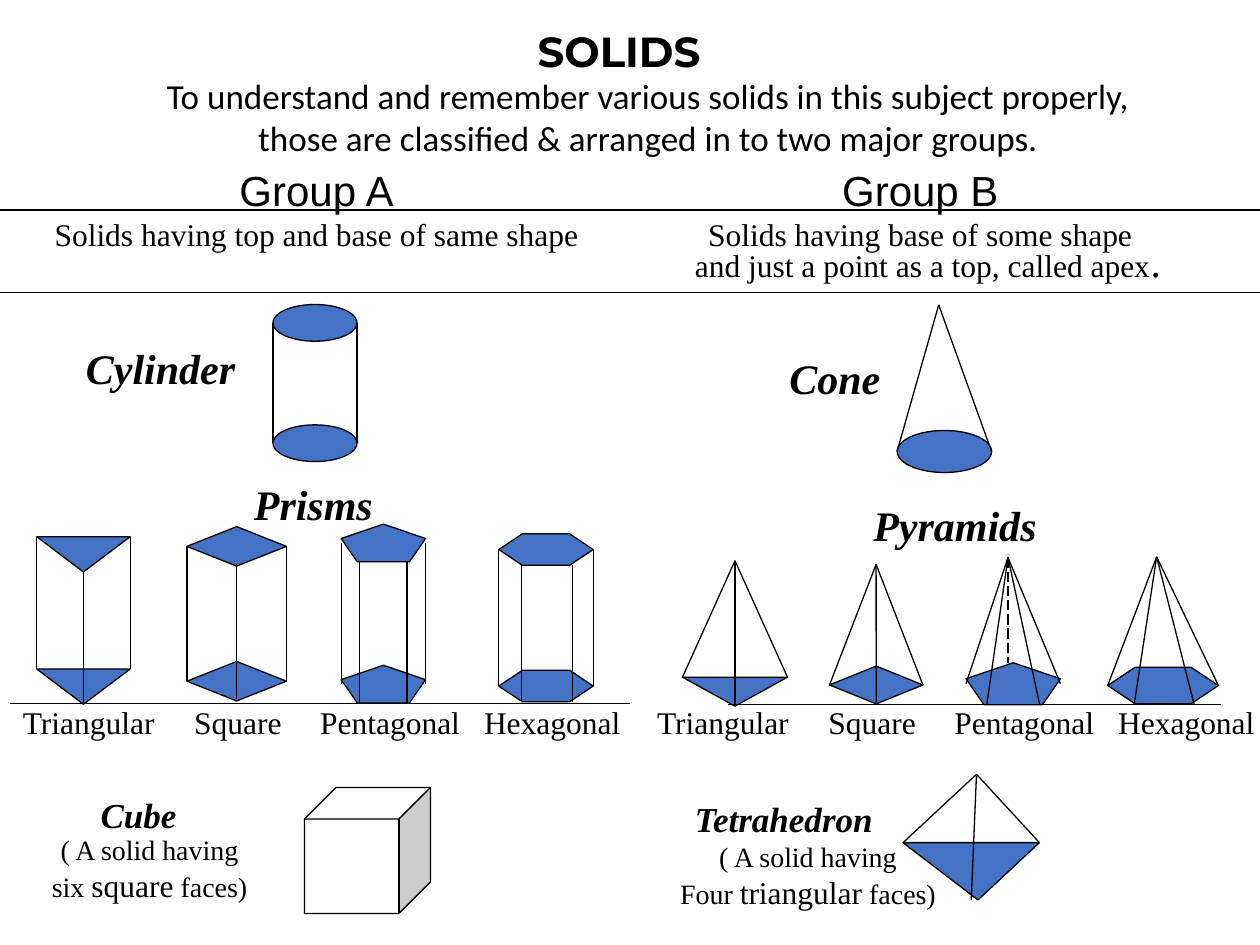
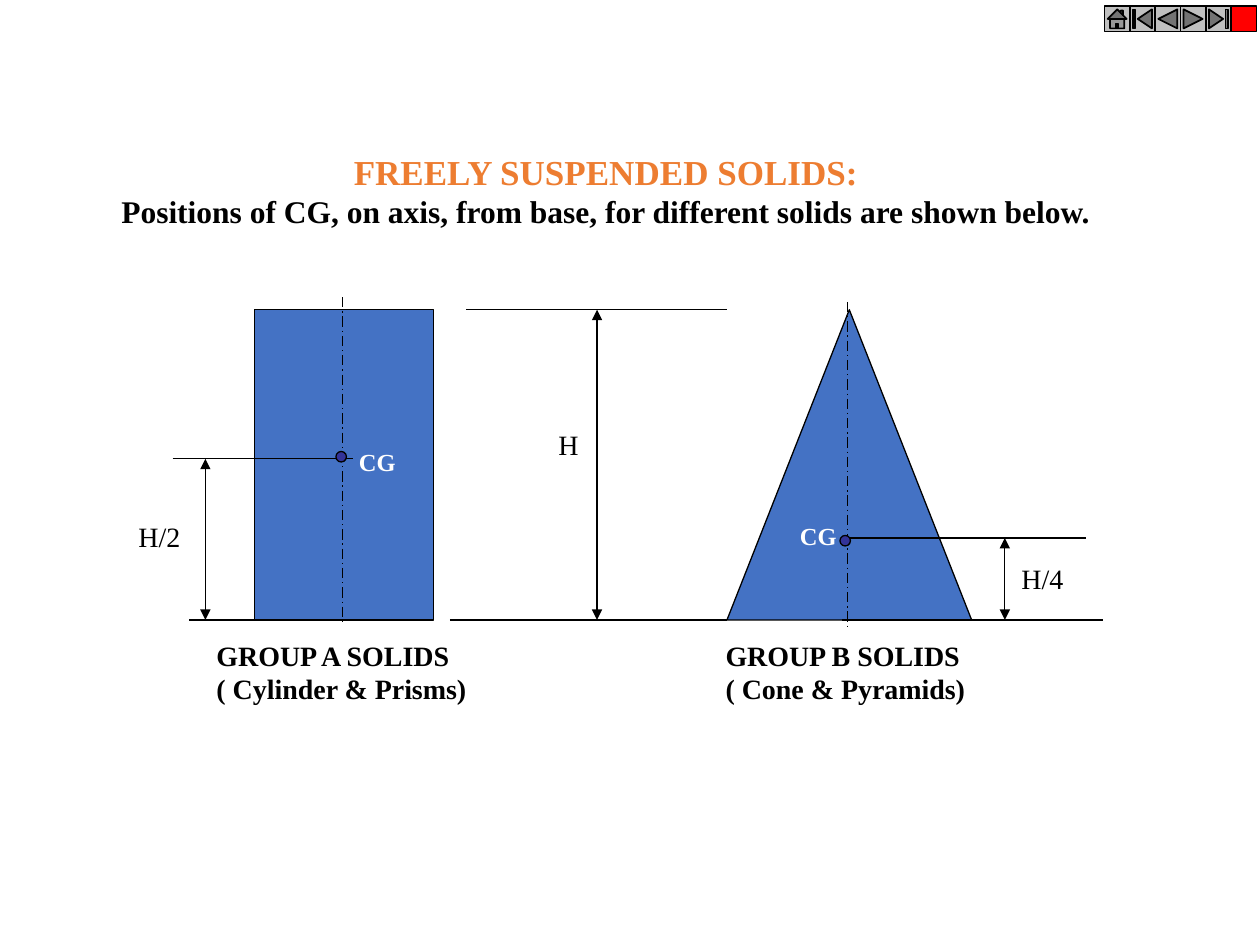
from pptx import Presentation
from pptx.dml.color import RGBColor
from pptx.enum.dml import MSO_LINE
from pptx.enum.shapes import MSO_CONNECTOR, MSO_SHAPE
from pptx.enum.text import MSO_ANCHOR, MSO_AUTO_SIZE, PP_ALIGN
from pptx.oxml.ns import qn
from pptx.util import Inches, Pt
from lxml.etree import SubElement

# Theme: colours and type styles
SERIF = "Times New Roman"
THEME = {
    "ink": RGBColor.from_string("000000"),
    "face": RGBColor.from_string("4472C4"),
    "white": RGBColor.from_string("FFFFFF"),
    "dot": RGBColor.from_string("333399"),
    "key": RGBColor.from_string("C0C0C0"),
    "stop": RGBColor.from_string("FF0000"),
    "tint": {"lead": RGBColor.from_string("ED7D31"), "mark": RGBColor.from_string("FFFFFF")},
    "type": {
        "head": dict(name="Montserrat", size=Pt(24), bold=True),
        "intro": dict(name="Calibri", size=Pt(20)),
        "group": dict(name="Arial", size=Pt(24)),
        "solid": dict(name=SERIF, size=Pt(24), bold=True, italic=True),
        "minor": dict(name=SERIF, size=Pt(20), bold=True, italic=True),
        "body": dict(name=SERIF, size=Pt(18)),
        "note": dict(name=SERIF, size=Pt(16)),
        "stop": dict(name=SERIF, size=Pt(24)),
        "lead": dict(name=SERIF, size=Pt(20), bold=True),
        "sub": dict(name=SERIF, size=Pt(18), bold=True),
        "name": dict(name=SERIF, size=Pt(16), bold=True),
        "mark": dict(name=SERIF, size=Pt(14), bold=True),
    },
}

# Grid: 120 columns by 90 rows of equal square cells
deck = Presentation()
deck.slide_width, deck.slide_height = Inches(10), Inches(7.5)
CELL = deck.slide_width // 120
plan, hang = [deck.slides.add_slide(deck.slide_layouts[5]) for _ in range(2)]


def draw(page, kind, box, fill="face", adj=(), flip=False, width=0.75):
    shape = page.shapes.add_shape(kind, *[round(n * CELL) for n in box])
    shape.shadow.inherit = False
    shape.fill.solid()
    shape.fill.fore_color.rgb = THEME[fill]
    shape.line.color.rgb = THEME["ink"]
    shape.line.width = Pt(width)
    for i, share in enumerate(adj):
        shape.adjustments[i] = share
    if flip:
        shape._element.spPr.find(qn("a:xfrm")).set("flipV", "1")


def link(page, start, end, dash=None, heads=False):
    ends = [round(n * CELL) for n in (*start, *end)]
    line = page.shapes.add_connector(MSO_CONNECTOR.STRAIGHT, *ends)
    line.line.color.rgb = THEME["ink"]
    line.line.width = Pt(0.75)
    line.line.dash_style = dash
    props = line._element.spPr
    if heads:
        for tag in ("a:headEnd", "a:tailEnd"):
            SubElement(props.find(qn("a:ln")), qn(tag), type="triangle")
    SubElement(props, qn("a:effectLst"))


# Outlines, with edge points as shares of the face's box
ROUND, TRI, RHOMB = MSO_SHAPE.OVAL, MSO_SHAPE.ISOSCELES_TRIANGLE, MSO_SHAPE.DIAMOND
PENTA, HEXA = MSO_SHAPE.REGULAR_PENTAGON, MSO_SHAPE.HEXAGON
SIDES = [(0, 0.5), (1, 0.5)]
EDGES = {
    ROUND: SIDES,
    TRI: [(0, 0), (1, 0), (0.5, 1)],
    RHOMB: SIDES + [(0.5, 0.95)],
    PENTA: SIDES + [(0.22, 1), (0.78, 1)],
    HEXA: SIDES + [(0.24, 1), (0.78, 1)],
}

# Slide 1, group A: a top face, the same face below it, and upright edges
prisms = [
    (ROUND, (26, 29, 8, 3.5), 11.46, ()),
    (TRI, (3.5, 51.12, 8.9, 3.36), 12.6, ()),
    (RHOMB, (17.8, 50.16, 9.48, 3.76), 12.84, ()),
    (PENTA, (32.5, 49.92, 8.04, 3.6), 13.44, ()),
    (HEXA, (47.5, 50.84, 9, 3), 13, (0.75,)),
]
for kind, (x, y, w, h), drop, adj in prisms:
    for top in (y, y + drop):
        draw(plan, kind, (x, top, w, h), adj=adj, flip=kind == TRI)
    for across, down in EDGES[kind]:
        px, py = x + across * w, y + down * h
        link(plan, (px, py), (px, py + drop))
draw(plan, MSO_SHAPE.CUBE, (29, 75, 12, 12), "white", (0.25,))

# Slide 1, group B: a base and edges that meet at an apex
cones = [
    (ROUND, (85.44, 41, 9, 4), (89.4, 29.04), ()),
    (TRI, (65, 64.5, 10, 2.76), (70, 53.4), ()),
    (RHOMB, (79, 63.44, 8.9, 3.6), (83.44, 53.76), ()),
    (PENTA, (92, 63.12, 9, 4), (96, 53.1), ()),
    (HEXA, (105.5, 63.54, 10.54, 3.5), (110.16, 53.04), (0.75,)),
    (TRI, (86, 80.26, 13, 5.46), (93, 73.74), (0.55,)),
]
for kind, (x, y, w, h), apex, adj in cones:
    draw(plan, kind, (x, y, w, h), adj=adj, flip=kind == TRI)
    for across, down in EDGES[kind]:
        link(plan, apex, (x + across * w, y + down * h))
link(plan, (96, 53.1), (96, 63.12), MSO_LINE.LONG_DASH)

# Slide 1: ground lines and full-width rules
for left, right, row in [(1, 60, 67), (69.36, 116.28, 67.1), (0, 120, 20), (0, 120, 27.84)]:
    link(plan, (left, row), (right, row))

# Slide 2: the two suspended solids
TOP, BASE = 29.5, 59.04
draw(hang, MSO_SHAPE.RECTANGLE, (24.24, TOP, 17.04, BASE - TOP))
draw(hang, TRI, (69.24, TOP, 23.3, BASE - TOP))

# Slide 2: levels, axes and dimensions
HALF, FOURTH = 43.7, 51.24
levels = [(44.4, 69.24, TOP), (42.84, 69.24, BASE), (18, 25.8, BASE),
          (16.44, 33.6, HALF), (80.2, 103.44, FOURTH), (80.2, 105, BASE)]
for left, right, row in levels:
    link(hang, (left, row), (right, row))
for col, row in [(32.6, 28.3), (80.74, 28.76)]:
    link(hang, (col, row), (col, row + 31.1), MSO_LINE.LONG_DASH_DOT)
for col, row in [(56.86, TOP), (19.56, HALF), (95.7, FOURTH)]:
    link(hang, (col, row), (col, BASE), heads=True)
for col, row in [(32, 43), (80, 51)]:
    draw(hang, ROUND, (col, row, 1, 1), "dot")

# Slide 2: navigation buttons in one row
keys = [MSO_SHAPE.ACTION_BUTTON_HOME, MSO_SHAPE.ACTION_BUTTON_BEGINNING,
        MSO_SHAPE.ACTION_BUTTON_BACK_OR_PREVIOUS, MSO_SHAPE.ACTION_BUTTON_FORWARD_OR_NEXT,
        MSO_SHAPE.ACTION_BUTTON_END, MSO_SHAPE.ACTION_BUTTON_CUSTOM]
for i, kind in enumerate(keys):
    fill = "stop" if kind == keys[-1] else "key"
    draw(hang, kind, (105.2 + i * 2.41, 0.6, 2.41, 2.41), fill, width=1)

# Text: slide, box, alignment, then paragraphs of (words, style) runs
LEFT, MID = PP_ALIGN.LEFT, PP_ALIGN.CENTER
KINDS = "Triangular\tSquare\tPentagonal\tHexagonal"
STOPS = [1.36, 2.36, 3.66]
titles = [
    (plan, (50, 1.8, 18.84, 6), LEFT, [[("SOLIDS", "head")]]),
    (hang, (10.2, 13.7, 95, 8.76), MID, [
        [("FREELY SUSPENDED SOLIDS:", "lead")],
        [("Positions of CG, on axis, from base, for different solids are shown below.", "sub")]]),
]
texts = [
    (plan, (10, 6.5, 103.44, 9.24), MID, [
        [("To understand and remember various solids in this subject properly,", "intro")],
        [("those are classified & arranged in to two major groups.", "intro")]]),
    (plan, (4, 15.1, 52.3, 9.6), MID, [
        [("Group A", "group")], [("Solids having top and base of same shape", "body")]]),
    (plan, (65.9, 15.1, 43.5, 9.6), MID, [
        [("Group B", "group")], [("Solids having base of some shape", "body")]]),
    (plan, (65, 21.84, 46.8, 6), LEFT, [
        [("and just a point as a top, called apex", "body"), (".", "stop")]]),
    (plan, (3.7, 78.7, 21.1, 8), MID, [
        [("( A solid having", "note")],
        [("six ", "note"), ("square", "body"), (" faces)", "note")]]),
    (plan, (63.2, 79.4, 27.5, 8), MID, [
        [("( A solid having", "note")],
        [("Four ", "note"), ("triangular", "body"), (" faces)", "note")]]),
    (hang, (19.44, 60.2, 26.4, 7.6), LEFT, [
        [("GROUP A SOLIDS", "name")], [("( Cylinder & Prisms)", "name")]]),
    (hang, (67.92, 60.2, 26, 7.6), LEFT, [
        [("GROUP B SOLIDS", "name")], [("( Cone & Pyramids)", "name")]]),
]
labels = [
    (plan, "Cylinder", "solid", (7, 32, 16.7, 6)),
    (plan, "Prisms", "solid", (23, 45, 13.8, 6)),
    (plan, "Cone", "solid", (74, 33, 11, 6)),
    (plan, "Pyramids", "solid", (82, 47, 18, 6)),
    (plan, "Cube", "minor", (8.4, 75, 9.6, 5.2)),
    (plan, "Tetrahedron", "minor", (65, 75.4, 19.7, 5.2)),
    (plan, KINDS, "body", (1, 66.4, 61, 4.8)),
    (plan, KINDS, "body", (61.4, 66.4, 61, 4.8)),
    (hang, "H", "note", (52, 40.1, 4.3, 4.4)),
    (hang, "H/2", "note", (12, 48.9, 6.4, 4.4)),
    (hang, "H/4", "note", (96.1, 52.9, 6.4, 4.4)),
    (hang, "CG", "mark", (33, 42, 5.9, 4)),
    (hang, "CG", "mark", (75, 49, 5.9, 4)),
]
texts += [(page, box, LEFT, [[(words, style)]]) for page, words, style, box in labels]

for entry in titles + texts:
    page, box, align, paras = entry
    left, top, width, height = [round(n * CELL) for n in box]
    if entry in titles:
        shape = page.shapes.title
        place = dict(left=left, top=top, width=width, height=height)
        for key, value in place.items():
            setattr(shape, key, value)
    else:
        shape = page.shapes.add_textbox(left, top, width, height)
    frame = shape.text_frame
    tabbed = paras[0][0][0] == KINDS
    form = dict(word_wrap=tabbed, auto_size=MSO_AUTO_SIZE.NONE, vertical_anchor=MSO_ANCHOR.TOP)
    for key, value in form.items():
        setattr(frame, key, value)
    for i, runs in enumerate(paras):
        para = frame.add_paragraph() if i else frame.paragraphs[0]
        para.alignment = align
        if tabbed:
            tabs = SubElement(para._p.get_or_add_pPr(), qn("a:tabLst"))
            for stop in STOPS:
                SubElement(tabs, qn("a:tab"), pos=str(Inches(stop)), algn="l")
        for words, style in runs:
            run = para.add_run()
            run.text = words
            for key, value in THEME["type"][style].items():
                setattr(run.font, key, value)
            run.font.color.rgb = THEME["tint"].get(style, THEME["ink"])

deck.save("out.pptx")
